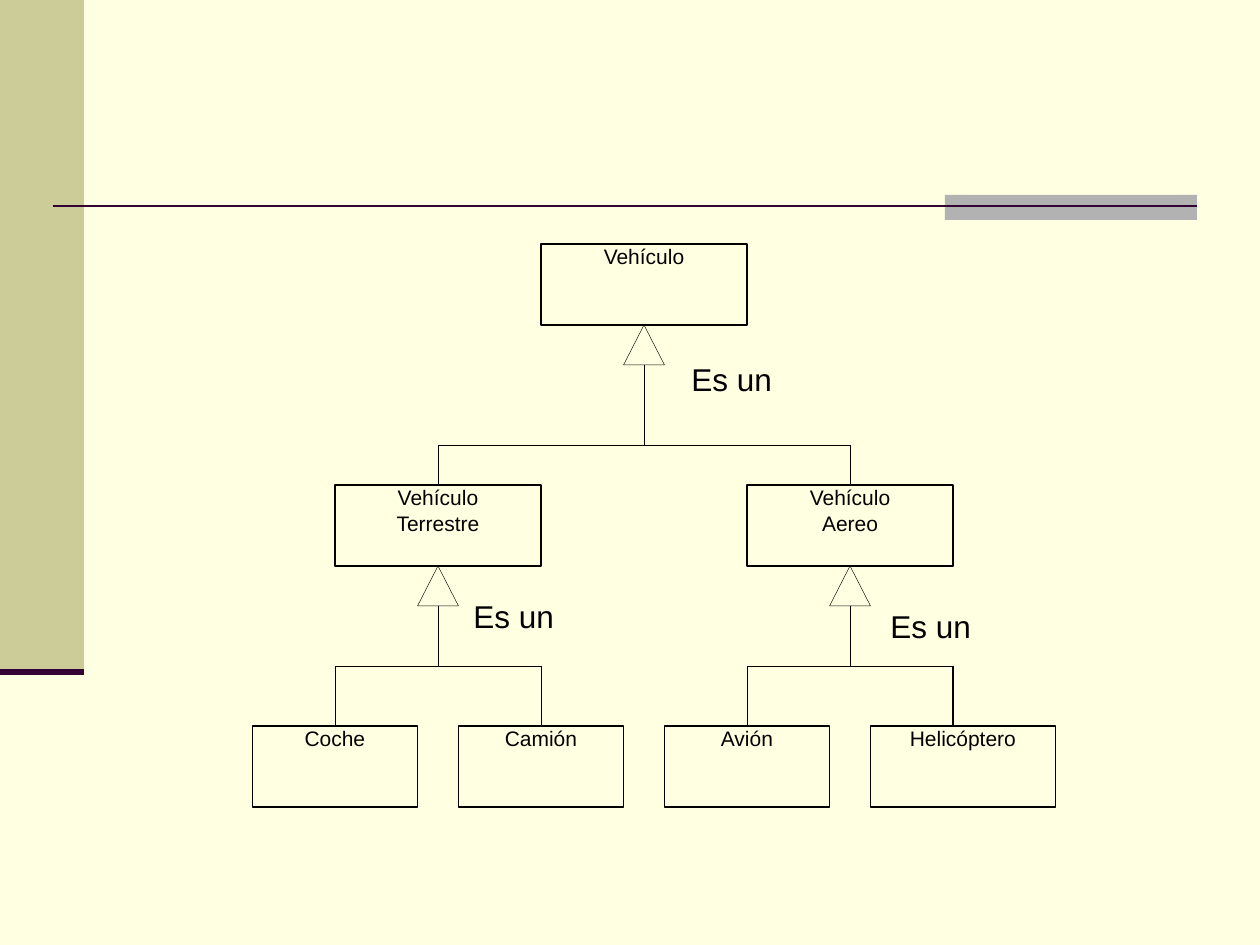
import pptx
import pptx.util
import pptx.dml.color
import pptx.enum.shapes
import pptx.enum.text
import pptx.oxml.ns
import lxml.etree

RGB = pptx.dml.color.RGBColor
CREAM = RGB(0xFF, 0xFF, 0xE1)
OLIVE = RGB(0xCC, 0xCC, 0x99)
GREY = RGB(0xB2, 0xB2, 0xB2)
PLUM = RGB(0x33, 0x00, 0x33)
BLACK = RGB(0, 0, 0)
LEFT = pptx.enum.text.PP_ALIGN.LEFT
CENTER = pptx.enum.text.PP_ALIGN.CENTER

SCALE = 914400 / 126  # EMU in one px
BOX_W, BOX_H = 206, 81
LEAF_W, WIDE_W = 165, 185
TIP_W, TIP_H = 41, 40
TOP_Y, MID_Y, LEAF_Y = 244, 485, 726
TOP_BAR, LOW_BAR = 445, 666
ROOT_X, LAND_X, AIR_X = 644, 438, 850
LEAF_X = [335 + BOX_W * i for i in range(4)]


def emu(*sizes):
    return [round(size * SCALE) for size in sizes]


def put_text(shape, text, size=12, align=CENTER, inset=(0, 0)):
    """Fill a shape with one paragraph for each line of text."""
    frame = shape.text_frame
    frame.word_wrap = True
    frame.vertical_anchor = pptx.enum.text.MSO_ANCHOR.TOP
    frame.margin_left = frame.margin_right = pptx.util.Inches(inset[0])
    frame.margin_top = frame.margin_bottom = pptx.util.Inches(inset[1])
    frame.text = text
    for para in frame.paragraphs:
        para.alignment = align
        para.font.name = "Arial"
        para.font.size = pptx.util.Pt(size)
        para.font.color.rgb = BLACK


def add_rect(slide, x, y, w, h, fill=None):
    """Draw a plain filled block, or a thin outline when no fill is given."""
    kind = pptx.enum.shapes.MSO_SHAPE.RECTANGLE
    rect = slide.shapes.add_shape(kind, *emu(x, y, w, h))
    rect.shadow.inherit = False
    if fill is None:
        rect.fill.background()
        rect.line.color.rgb = BLACK
        rect.line.width = pptx.util.Pt(0.75)
    else:
        rect.fill.solid()
        rect.fill.fore_color.rgb = fill
        rect.line.fill.background()
    return rect


def add_line(slide, x1, y1, x2, y2, color=BLACK, width=0.25):
    kind = pptx.enum.shapes.MSO_CONNECTOR.STRAIGHT
    line = slide.shapes.add_connector(kind, *emu(x1, y1, x2, y2))
    line.line.color.rgb = color
    line.line.width = pptx.util.Pt(width)
    props = line._element.spPr
    lxml.etree.SubElement(props, pptx.oxml.ns.qn("a:effectLst"))


def add_tip(slide, x, y):
    """Draw the hollow triangle whose peak is at x, y."""
    half = TIP_W / 2
    pen = slide.shapes.build_freeform(*emu(x, y))
    base = [emu(x + half, y + TIP_H), emu(x - half, y + TIP_H)]
    pen.add_line_segments(base, close=True)
    tip = pen.convert_to_shape()
    tip.shadow.inherit = False
    tip.fill.background()
    tip.line.color.rgb = BLACK
    tip.line.width = pptx.util.Pt(0.25)


def add_class(slide, name, x, y, w=BOX_W):
    put_text(add_rect(slide, x, y, w, BOX_H), name)


def add_label(slide, x, y):
    label = slide.shapes.add_textbox(*emu(x, y, 218, 50))
    put_text(label, "Es un", size=18, align=LEFT, inset=(0.1, 0.05))


def add_fork(slide, x, y, bar, kids, low, last=0.25):
    """Join a parent's foot at x, y to its kids; last is the last stem's width."""
    add_tip(slide, x, y)
    add_line(slide, x, y + TIP_H, x, bar)
    add_line(slide, kids[0], bar, kids[-1], bar)
    for kid in kids:
        width = last if kid == kids[-1] else 0.25
        add_line(slide, kid, bar, kid, low, width=width)


def add_decor(slide):
    add_rect(slide, 0, 0, 84, 672, OLIVE)
    add_rect(slide, 945, 195, 252, 25, GREY)
    add_line(slide, 53, 206, 1197, 206, PLUM, 1.5)
    add_line(slide, 0, 672, 84, 672, PLUM, 3.5)


def add_tree(slide):
    add_fork(slide, ROOT_X, TOP_Y + BOX_H, TOP_BAR, [LAND_X, AIR_X], MID_Y)
    foot = MID_Y + BOX_H
    add_fork(slide, LAND_X, foot, LOW_BAR, LEAF_X[:2], LEAF_Y)
    add_fork(slide, AIR_X, foot, LOW_BAR, LEAF_X[2:], LEAF_Y, last=0.75)

    add_class(slide, "Vehículo", ROOT_X - BOX_W / 2, TOP_Y)
    add_class(slide, "Vehículo\nTerrestre", LAND_X - BOX_W / 2, MID_Y)
    add_class(slide, "Vehículo\nAereo", AIR_X - BOX_W / 2, MID_Y)
    leaves = [("Coche", LEAF_W), ("Camión", LEAF_W),
              ("Avión", LEAF_W), ("Helicóptero", WIDE_W)]
    for x, (name, w) in zip(LEAF_X, leaves):
        add_class(slide, name, x - LEAF_W / 2, LEAF_Y, w)

    for x, y in [(679, 354), (461, 591), (878, 601)]:
        add_label(slide, x, y)


def main():
    deck = pptx.Presentation()
    deck.slide_width, deck.slide_height = emu(1260, 945)
    slide = deck.slides.add_slide(deck.slide_layouts[6])
    slide.background.fill.solid()
    slide.background.fill.fore_color.rgb = CREAM
    add_decor(slide)
    add_tree(slide)
    deck.save("out.pptx")


if __name__ == "__main__":
    main()
